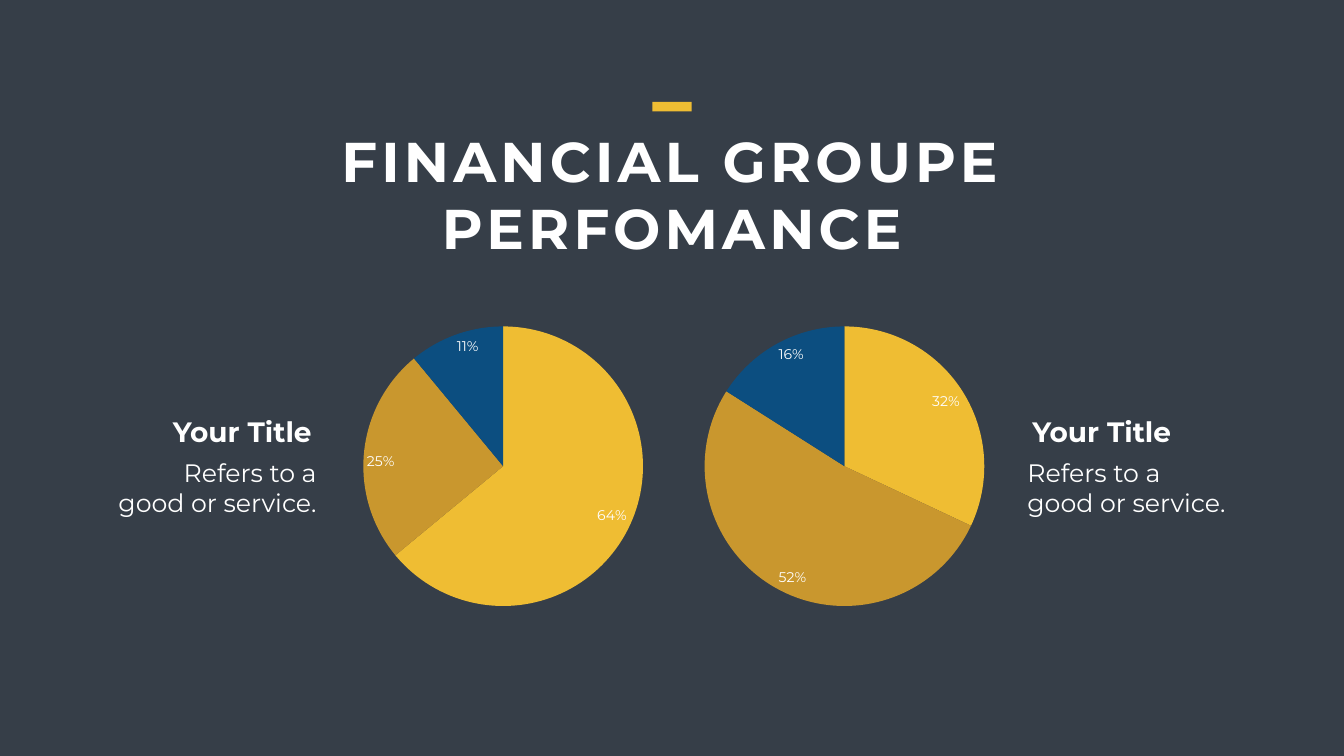
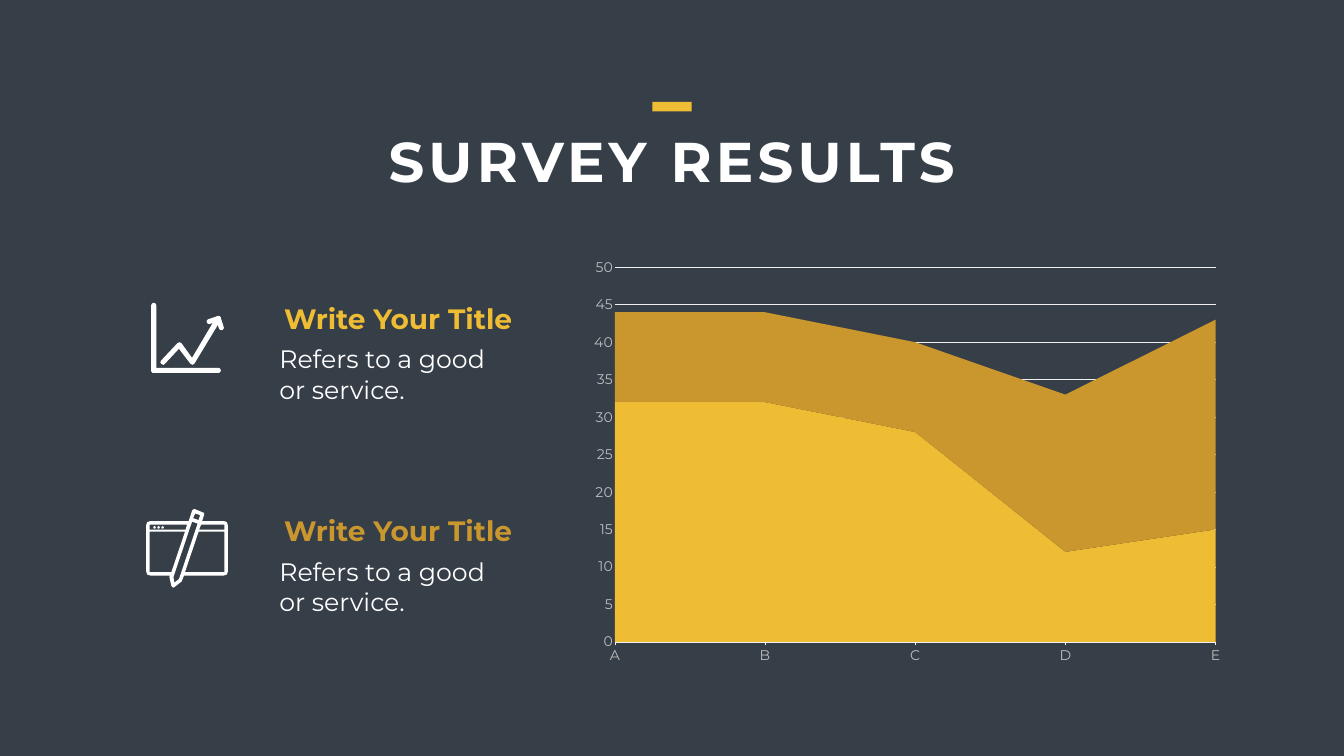
"""Build two dark finance slides: paired pie charts and survey results."""
import math

from lxml import etree
from pptx import Presentation
from pptx import util as u
from pptx.chart.data import CategoryChartData
from pptx.dml.color import RGBColor
from pptx.enum import chart as ch, shapes, text
from pptx.oxml.ns import qn

COLS, ROWS = 26.66, 15
FONT = "Montserrat"
COLORS = {
    "night": "363E48", "white": "FFFFFF", "yellow": "EFBD33", "ochre": "C9972E",
    "blue": "0C4E80", "label": "BDBDBD", "grid": "F0F0F0", "gray": "999999",
}
LEFT, RIGHT, CENTER = text.PP_ALIGN.LEFT, text.PP_ALIGN.RIGHT, text.PP_ALIGN.CENTER
PIE_SIZE = (7.25, 5.84)
PIE_PLOT = (0.12, 0.02, 0.77, 0.95)
AREA_PLOT = (0.05, 0.04, 0.92, 0.89)

TREND = [(3.82, 7.24), (3.78, 7.22), (3.55, 6.92), (3.27, 7.22), (3.24, 7.24),
         (3.2, 7.22), (3.18, 7.19), (3.2, 7.15), (3.52, 6.81), (3.56, 6.79),
         (3.6, 6.81), (3.81, 7.1), (4.29, 6.29), (4.32, 6.27), (4.36, 6.28),
         (4.38, 6.31), (4.38, 6.35), (3.86, 7.21)]
STROKES = [((3.05, 6.06), (3.05, 7.35)), ((3.05, 7.35), (4.33, 7.35)),
           ((4.33, 6.32), (4.39, 6.5)), ((4.15, 6.38), (4.33, 6.32))]
WINDOW = [
    [(4.45, 11.35), (3.67, 11.35), (3.94, 10.55), (4.45, 10.55)],
    [(3.46, 11.56), (3.44, 11.45), (3.81, 10.35), (3.92, 10.39), (3.55, 11.49)],
    [(2.97, 11.35), (2.97, 10.55), (3.67, 10.55), (3.4, 11.35)],
    [(2.97, 10.41), (3.71, 10.41), (3.68, 10.51), (2.97, 10.51)],
    [(3.87, 10.19), (3.97, 10.22), (3.94, 10.32), (3.83, 10.28)],
    [(4.45, 10.41), (4.45, 10.51), (3.95, 10.51), (3.99, 10.41)],
    [(4.44, 10.34), (4.01, 10.34), (4.05, 10.21), (4.05, 10.18), (4.03, 10.17),
     (3.86, 10.1), (3.83, 10.11), (3.81, 10.13), (3.76, 10.29), (3.74, 10.34),
     (2.98, 10.34), (2.92, 10.36), (2.9, 10.42), (2.9, 11.34), (2.92, 11.4),
     (2.98, 11.42), (3.37, 11.42), (3.36, 11.45), (3.4, 11.63), (3.43, 11.66),
     (3.46, 11.65), (3.6, 11.54), (3.61, 11.52), (3.65, 11.42), (4.44, 11.42),
     (4.5, 11.4), (4.52, 11.34), (4.52, 10.42), (4.5, 10.36)],
]


def rgb(color):
    """Return a named colour."""
    return RGBColor.from_string(COLORS[color])


def cells(*lengths):
    """Turn grid columns or rows into lengths."""
    return [u.Inches(length) for length in lengths]


def set_values(target, values):
    """Set each attribute named in the dict."""
    for name, value in values.items():
        setattr(target, name, value)


def style_font(font, size, color, bold=False):
    """Apply the shared typeface with a size and colour."""
    set_values(font, {"name": FONT, "size": u.Pt(size), "bold": bold})
    font.color.rgb = rgb(color)


def paint(shape, color):
    """Fill a shape flatly, without line or shadow."""
    shape.shadow.inherit = False
    shape.fill.solid()
    shape.fill.fore_color.rgb = rgb(color)
    shape.line.fill.background()


def block(group, box, color, preset=shapes.MSO_SHAPE.RECTANGLE):
    """Add a plain preset shape."""
    paint(group.add_shape(preset, *cells(*box)), color)


def outline(group, contours, color="white"):
    """Add one filled freeform made of closed contours."""
    points = [[cells(*point) for point in contour] for contour in contours]
    builder = group.build_freeform(*points[0][0])
    for index, contour in enumerate(points):
        if index:
            builder.move_to(*contour[0])
        builder.add_line_segments(contour[1:], close=True)
    paint(builder.convert_to_shape(), color)


def rounded_stroke(start, end, radius=0.05, steps=8):
    """Return the contour of a thick stroke with round ends."""
    angle = math.atan2(end[1] - start[1], end[0] - start[0])
    contour = []
    for (x, y), first in ((end, angle - math.pi / 2), (start, angle + math.pi / 2)):
        for step in range(steps + 1):
            turn = first + math.pi * step / steps
            contour.append((x + radius * math.cos(turn), y + radius * math.sin(turn)))
    return contour


def write(slide, words, box, size, color="white", bold=False, align=LEFT,
          inset=(0.1, 0.05), spacing=None):
    """Add one wrapped paragraph."""
    frame = slide.shapes.add_textbox(*cells(*box)).text_frame
    across, down = cells(*inset)
    set_values(frame, {
        "word_wrap": True, "auto_size": text.MSO_AUTO_SIZE.SHAPE_TO_FIT_TEXT,
        "margin_left": across, "margin_right": across,
        "margin_top": down, "margin_bottom": down})
    paragraph = frame.paragraphs[0]
    paragraph.alignment = align
    run = paragraph.add_run()
    run.text = words
    style_font(run.font, size, color, bold)
    if spacing:
        run.font._element.set("spc", str(spacing * 100))


def caption(slide, title, body, title_box, body_box, color="white", align=LEFT):
    """Add a bold heading with body text below it."""
    write(slide, body, body_box, 36, align=align, inset=(0.24, 0.12))
    write(slide, title, title_box, 40, color, True, align)


def titled_slide(deck, title, title_rows):
    """Add a slide with the shared background, accent and title."""
    slide = deck.slides.add_slide(deck.slide_layouts[6])
    block(slide.shapes, (0, 0, COLS, ROWS), "night")
    write(slide, title, (3.8, 2.46, COLS - 2 * 3.8, title_rows), 80,
          bold=True, align=CENTER, spacing=6)
    block(slide.shapes, ((COLS - 0.78) / 2, 2.02, 0.78, 0.19), "yellow")
    return slide


def add_chart(slide, kind, box, categories, series, plot_shares):
    """Add a chart whose plot takes the given shares of its box."""
    data = CategoryChartData()
    data.categories = categories
    for number, values in enumerate(series, 1):
        data.add_series(f"Series {number}", values)
    chart = slide.shapes.add_chart(kind, *cells(*box), data).chart
    set_values(chart, {"has_legend": False, "has_title": False})
    style_font(chart.font, 20, "gray")
    area = chart._chartSpace.chart.plotArea
    for old in area.findall(qn("c:layout")):
        area.remove(old)
    layout = etree.Element(qn("c:layout"))
    manual = etree.SubElement(layout, qn("c:manualLayout"))
    settings = [("layoutTarget", "inner"), ("xMode", "edge"), ("yMode", "edge"),
                *zip("xywh", plot_shares)]
    for tag, value in settings:
        etree.SubElement(manual, qn(f"c:{tag}")).set("val", str(value))
    area.insert(0, layout)
    return chart


def add_pie(slide, left, values):
    """Add a pie with percentages inside its rim."""
    chart = add_chart(slide, ch.XL_CHART_TYPE.PIE, (left, 6.36, *PIE_SIZE),
                      ["1", "2", "3"], [values], PIE_PLOT)
    plot = chart.plots[0]
    set_values(plot, {"vary_by_categories": True, "has_data_labels": True})
    for index, color in enumerate(("yellow", "ochre", "blue")):
        wedge = plot.series[0].points[index].format
        wedge.fill.solid()
        wedge.fill.fore_color.rgb = rgb(color)
        wedge.line.fill.background()
    labels = plot.data_labels
    set_values(labels, {
        "show_percentage": True, "show_value": False, "number_format": "0%",
        "number_format_is_linked": False,
        "position": ch.XL_LABEL_POSITION.INSIDE_END})
    style_font(labels.font, 20, "white")


def grid_line(line):
    """Draw a thin pale chart line."""
    line.color.rgb = rgb("grid")
    line.width = u.Pt(0.75)


def add_survey_chart(slide):
    """Add the stacked area chart with its axes."""
    chart = add_chart(slide, ch.XL_CHART_TYPE.AREA_STACKED, (11.55, 4.97, 12.95, 8.35),
                      list("ABCDE"), [(32, 32, 28, 12, 15), (12, 12, 12, 21, 28)],
                      AREA_PLOT)
    chart.plots[0].vary_by_categories = False
    for layer, color in zip(chart.plots[0].series, ("yellow", "ochre")):
        layer.format.fill.solid()
        layer.format.fill.fore_color.rgb = rgb(color)
        layer.format.line.fill.background()
    letters, scale = chart.category_axis, chart.value_axis
    for axis, tick in ((letters, ch.XL_TICK_MARK.OUTSIDE), (scale, ch.XL_TICK_MARK.NONE)):
        set_values(axis, {"major_tick_mark": tick,
                          "minor_tick_mark": ch.XL_TICK_MARK.NONE})
        style_font(axis.tick_labels.font, 20, "label")
    letters.has_major_gridlines = False
    grid_line(letters.format.line)
    set_values(scale, {"minimum_scale": 0, "maximum_scale": 50, "major_unit": 5,
                       "has_major_gridlines": True})
    grid_line(scale.major_gridlines.format.line)
    scale.format.line.fill.background()
    for crossing in scale._element.findall(qn("c:crossBetween")):
        crossing.set("val", "midCat")


def window_icon(slide):
    """Draw a browser window crossed by a pencil."""
    icon = slide.shapes.add_group_shape().shapes
    outline(icon, WINDOW)
    for index in range(3):
        block(icon, (3.04 + 0.08 * index, 10.44, 0.05, 0.05), "white",
              shapes.MSO_SHAPE.OVAL)


def growth_icon(slide):
    """Draw two axes and a rising arrow."""
    icon = slide.shapes.add_group_shape().shapes
    for start, end in STROKES:
        outline(icon, [rounded_stroke(start, end)])
    outline(icon, [TREND])


def performance_slide(deck):
    """Build the slide with two mirrored pies."""
    slide = titled_slide(deck, "FINANCIAL GROUPE PERFOMANCE", 2.79)
    pie_left, body_width, title_width = 13.09, 4.52, 4.28
    add_pie(slide, COLS - pie_left - PIE_SIZE[0], (64, 25, 11))
    add_pie(slide, pie_left, (32, 52, 16))
    edge = COLS - 2
    for title_left, body_left, align in (
            (edge - title_width, edge - body_width, LEFT), (2, 2, RIGHT)):
        caption(slide, "Your Title", "Refers to a good or service.",
                (title_left, 8.17, title_width, 0.77),
                (body_left, 8.95, body_width, 1.45), align=align)


def survey_slide(deck):
    """Build the slide with the area chart and its two notes."""
    slide = titled_slide(deck, "SURVEY RESULTS", 1.45)
    add_survey_chart(slide)
    for index, color in enumerate(("yellow", "ochre")):
        top = 5.93 + 4.21 * index
        caption(slide, "Write Your Title", "Refers to a good or service.",
                (5.54, top, 5.67, 0.77), (5.3, top + 0.77, 5.05, 1.45), color)
    window_icon(slide)
    growth_icon(slide)


def main():
    """Create and save the deck."""
    deck = Presentation()
    deck.slide_width, deck.slide_height = cells(COLS, ROWS)
    performance_slide(deck)
    survey_slide(deck)
    deck.save("out.pptx")


if __name__ == "__main__":
    main()
